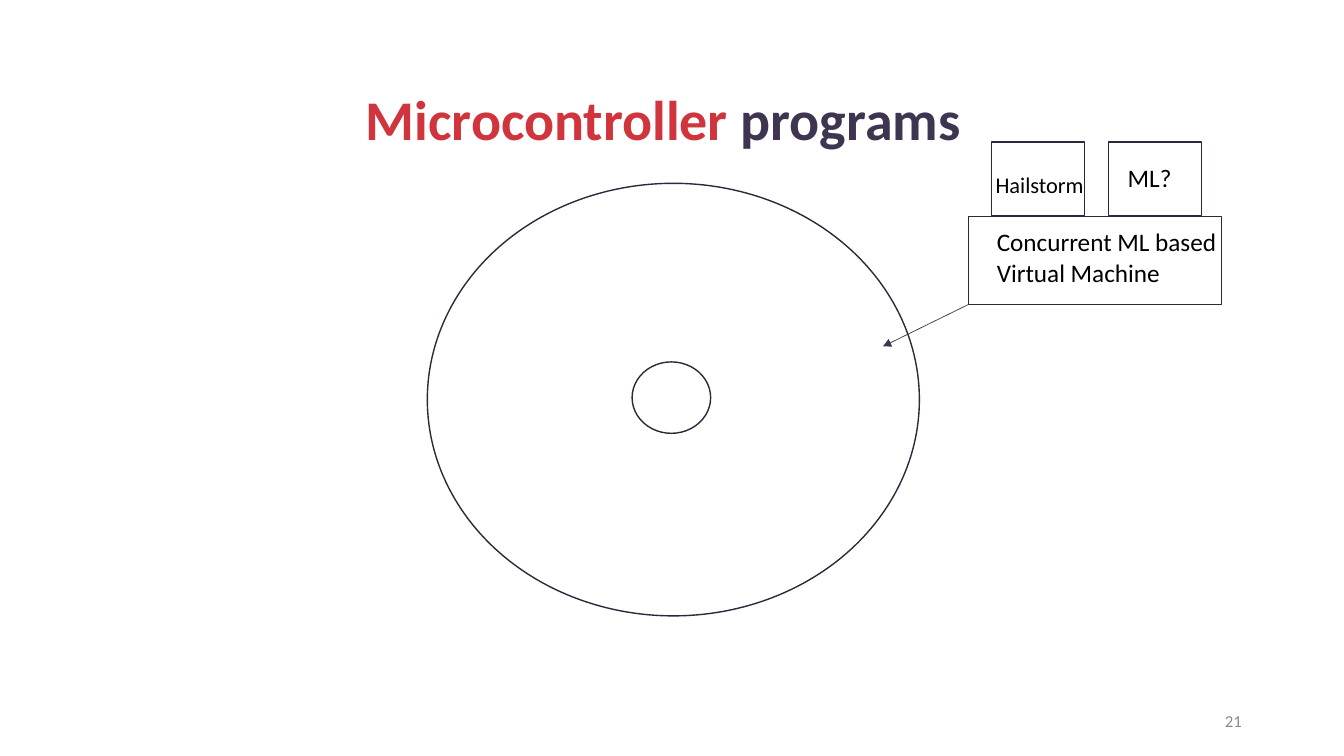
import pptx
import pptx.util
import pptx.dml.color
import pptx.enum.shapes
import pptx.enum.text
from lxml import etree

Cm, Pt = pptx.util.Cm, pptx.util.Pt
KIND = pptx.enum.shapes.MSO_SHAPE
ALIGN = pptx.enum.text.PP_ALIGN
MID = pptx.enum.text.MSO_ANCHOR.MIDDLE
FIT = pptx.enum.text.MSO_AUTO_SIZE.SHAPE_TO_FIT_TEXT
INK = {"edge": "2F273C", "arrow": "403551", "red": "D0343C",
       "plum": "403551", "black": "000000", "grey": "848B98"}


def color(name):
    return pptx.dml.color.RGBColor.from_string(INK[name])


def style(thing, form):
    for key, value in form.items():
        setattr(thing, key, value)


def text(slide, box, parts, size, bold=False, frame=None, para=None):
    """Write one paragraph; parts are (words, colour) pairs."""
    area = slide.shapes.add_textbox(*map(Cm, box)).text_frame
    style(area, frame or {"word_wrap": False, "auto_size": FIT})
    line = area.paragraphs[0]
    style(line, para or {})
    for words, ink in parts:
        for i, row in enumerate(words.split("\n")):
            if i:
                line.add_line_break()
            run = line.add_run()
            run.text = row
            style(run.font, {"name": "Calibri", "size": Pt(size), "bold": bold})
            run.font.color.rgb = color(ink)


def outline(slide, kind, box):
    shape = slide.shapes.add_shape(kind, *map(Cm, box))
    shape.shadow.inherit = False
    shape.fill.background()
    shape.line.color.rgb = color("edge")
    shape.line.width = Pt(1)


def title(slide, box):
    text(slide, box, [("Microcontroller ", "red"), ("programs", "plum")], 40, True,
         {"word_wrap": True, "vertical_anchor": MID}, {"line_spacing": 0.9})


def rings(slide, box):
    x, y, wide, high = box
    outline(slide, KIND.OVAL, (x + 5.16, y + 4.5, 1.98, 1.8))
    outline(slide, KIND.OVAL, (x, y, wide, high))


def arrow(slide, start, end):
    line = slide.shapes.add_connector(
        pptx.enum.shapes.MSO_CONNECTOR.STRAIGHT, *map(Cm, start + end))
    line.line.color.rgb = color("arrow")
    line.line.width = Pt(0.5)
    space = "{http://schemas.openxmlformats.org/drawingml/2006/main}"
    etree.SubElement(line.line._get_or_add_ln(), space + "tailEnd", type="triangle")
    etree.SubElement(line._element.spPr, space + "effectLst")


def stack(slide, box):
    """Two language blocks standing on the virtual machine block."""
    x, y, wide, high = box
    top = 1.88
    arrow(slide, (x, y + high), (x - 2.16, y + high + 1.06))
    outline(slide, KIND.RECTANGLE, (x, y + top, wide, high - top))
    text(slide, (x + 0.46, y + 2.01, 6.12, 1.8),
         [("Concurrent ML based\nVirtual Machine", "black")], 18)
    for left in (0.58, 3.53):
        outline(slide, KIND.RECTANGLE, (x + left, y, 2.34, 1.85))
    for words, size, left, down, span, tall in (
            ("Hailstorm", 16, 0.43, 0.61, 2.77, 0.94),
            ("ML?", 18, 3.76, 0.38, 1.63, 1.02)):
        text(slide, (x + left, y + down, span, tall), [(words, "black")], size)


def number(slide, box):
    text(slide, box, [("21", "grey")], 12, False,
         {"word_wrap": True, "vertical_anchor": MID}, {"alignment": ALIGN.RIGHT})


def main():
    deck = pptx.Presentation()
    style(deck, {"slide_width": Cm(33.87), "slide_height": Cm(19.05)})
    slide = deck.slides.add_slide(deck.slide_layouts[6])
    number(slide, (23.93, 17.65, 7.62, 1.02))
    rings(slide, (10.77, 4.62, 12.4, 10.9))
    title(slide, (8.97, 0.28, 15.8, 5.59))
    stack(slide, (24.41, 3.58, 6.38, 4.09))
    deck.save("out.pptx")


if __name__ == "__main__":
    main()
